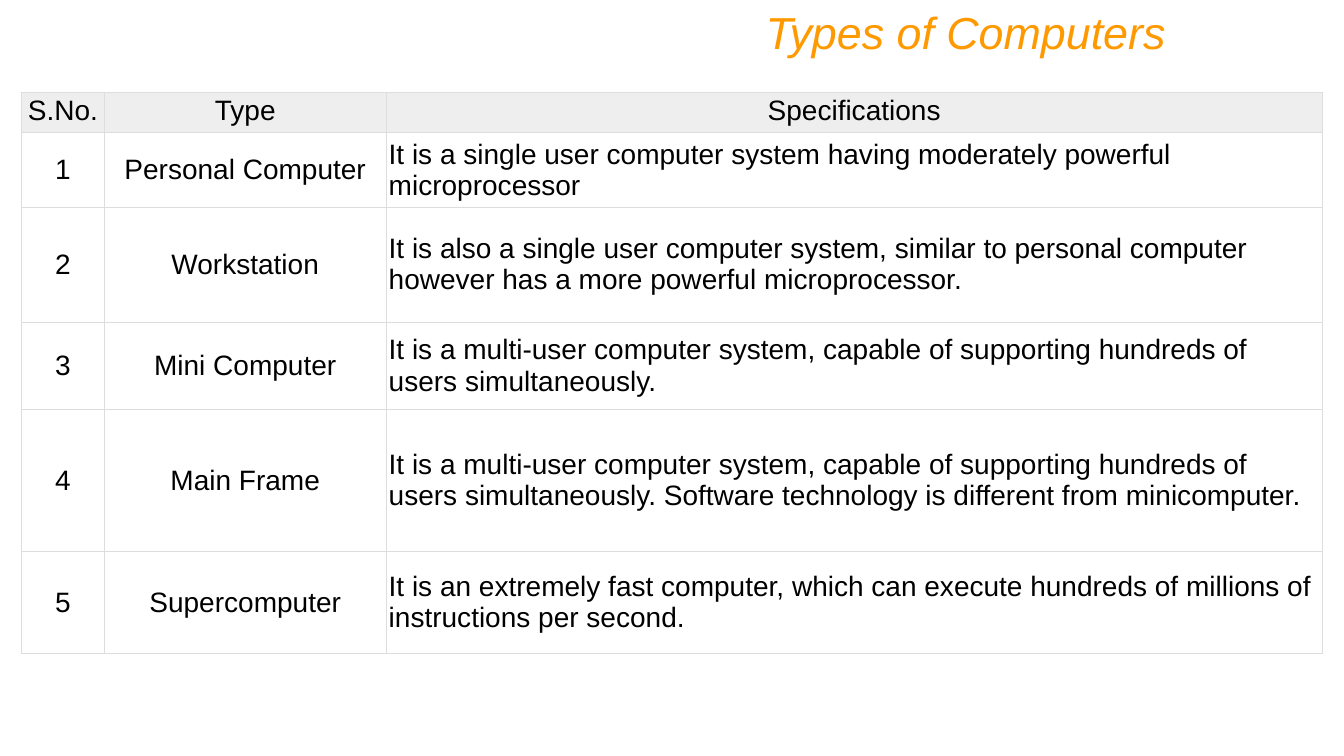
"""Build the slide that compares types of computers in a table."""
from lxml import etree
from pptx import Presentation
from pptx.dml.color import RGBColor
from pptx.enum.text import MSO_ANCHOR, PP_ALIGN
from pptx.oxml.ns import qn
from pptx.util import Pt

LEFT, CENTER, RIGHT = PP_ALIGN.LEFT, PP_ALIGN.CENTER, PP_ALIGN.RIGHT
TOP, MIDDLE = MSO_ANCHOR.TOP, MSO_ANCHOR.MIDDLE

TITLE = "Types of Computers"
HEADINGS = ("S.No.", "Type", "Specifications")
COMPUTERS = [
    ("Personal Computer", "It is a single user computer system having moderately "
     "powerful microprocessor"),
    ("Workstation", "It is also a single user computer system, similar to personal "
     "computer however has a more powerful microprocessor."),
    ("Mini Computer", "It is a multi-user computer system, capable of supporting "
     "hundreds of users simultaneously."),
    ("Main Frame", "It is a multi-user computer system, capable of supporting hundreds "
     "of users simultaneously. Software technology is different from minicomputer."),
    ("Supercomputer", "It is an extremely fast computer, which can execute hundreds of "
     "millions of instructions per second."),
]
COLORS = {"title": "FF9900", "text": "000000", "heading": "EEEEEE", "border": "DDDDDD"}
FONT = "Arial"
COLUMN_WIDTHS = (59.5, 201, 669)
ROW_HEIGHTS = (28.6, 53.2, 82, 62.7, 101.4, 72.9)
ALIGNMENTS = (CENTER, CENTER, LEFT)
CELL_INSET = 2
BORDER_WIDTH = 0.6


def write(frame, text, size, color, alignment, italic=False):
    paragraph = frame.paragraphs[0]
    paragraph.alignment = alignment
    run = paragraph.add_run()
    run.text = text
    run.font.name = FONT
    run.font.size = Pt(size)
    run.font.italic = italic
    run.font.color.rgb = RGBColor.from_string(COLORS[color])


def add_borders(cell):
    properties = cell._tc.get_or_add_tcPr()
    for position, side in enumerate(("a:lnL", "a:lnR", "a:lnT", "a:lnB")):
        border = etree.Element(qn(side), w=str(Pt(BORDER_WIDTH)))
        fill = etree.SubElement(border, qn("a:solidFill"))
        etree.SubElement(fill, qn("a:srgbClr"), val=COLORS["border"])
        properties.insert(position, border)


def add_title(slide):
    title = slide.shapes.add_textbox(Pt(120), Pt(0), Pt(720), Pt(46))
    title.text_frame.word_wrap = True
    write(title.text_frame, TITLE, 32, "title", RIGHT, italic=True)


def add_computer_table(slide):
    rows = [HEADINGS] + [
        (str(number), *computer) for number, computer in enumerate(COMPUTERS, 1)
    ]
    table = slide.shapes.add_table(
        len(rows), len(HEADINGS), Pt(15.2), Pt(66.2),
        Pt(sum(COLUMN_WIDTHS)), Pt(sum(ROW_HEIGHTS)),
    ).table
    table.horz_banding = False
    table.first_row = False
    for column, width in zip(table.columns, COLUMN_WIDTHS):
        column.width = Pt(width)
    for row_index, (texts, height) in enumerate(zip(rows, ROW_HEIGHTS)):
        table.rows[row_index].height = Pt(height)
        is_heading = row_index == 0
        for column_index, text in enumerate(texts):
            cell = table.cell(row_index, column_index)
            cell.margin_left = cell.margin_right = Pt(CELL_INSET)
            cell.margin_top = cell.margin_bottom = Pt(CELL_INSET)
            cell.vertical_anchor = TOP if is_heading else MIDDLE
            if is_heading:
                cell.fill.solid()
                cell.fill.fore_color.rgb = RGBColor.from_string(COLORS["heading"])
            else:
                cell.fill.background()
            add_borders(cell)
            alignment = CENTER if is_heading else ALIGNMENTS[column_index]
            write(cell.text_frame, text, 20, "text", alignment)


def main():
    presentation = Presentation()
    presentation.slide_width, presentation.slide_height = Pt(960), Pt(540)
    slide = presentation.slides.add_slide(presentation.slide_layouts[6])
    add_title(slide)
    add_computer_table(slide)
    presentation.save("out.pptx")


if __name__ == "__main__":
    main()
